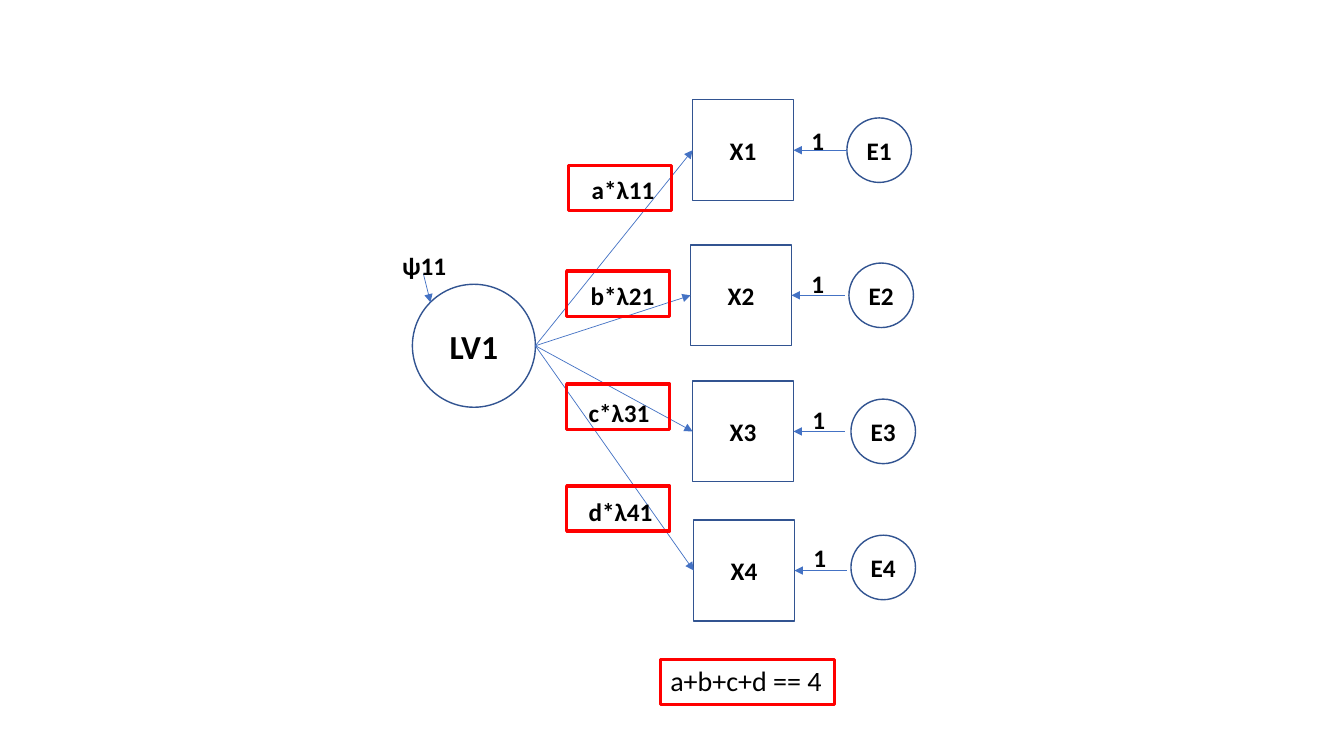
from pptx import Presentation, util as u
from pptx.dml.color import RGBColor
from pptx.enum import shapes as sh, text as tx
from pptx.oxml.ns import qn
from lxml import etree

HUES = {"ink": "000000", "paper": "FFFFFF", "edge": "325491",
        "arrow": "4472C4", "frame": "FF0000"}
COLS, ROWS = 13.33, 7.5  # slide grid, cells one inch square
SIDE, DISC = 1, 0.64     # indicator square, error circle
FRAME = (1.02, 0.45)     # red frame round a loading

# left and top of each square, left of its error circle, its shift down,
# start of the error arrow, place of the "1"
ITEMS = [
    (6.87, 0.99, 8.40, 0.00, 8.40, (7.95, 1.19)),
    (6.85, 2.43, 8.42, 0.00, 8.38, (7.95, 2.61)),
    (6.87, 3.78, 8.44, 0.00, 8.38, (7.96, 3.96)),
    (6.88, 5.16, 8.44, -0.03, 8.40, (7.97, 5.33)),
]
# wording, frame corner, offset of the label in the frame, label width
LOADS = [
    ("a*λ11", 5.64, 1.64, 0.13, 0.04, 0.83),
    ("b*λ21", 5.62, 2.69, 0.14, 0.04, 0.84),
    ("c*λ31", 5.62, 3.81, 0.12, 0.08, 0.81),
    ("d*λ41", 5.62, 4.82, 0.12, 0.05, 0.84),
]


def hue(name):
    return RGBColor.from_string(HUES[name])


def grid(*cells):
    return [u.Inches(c) for c in cells]


def write(frame, words, size, bold=True):
    run = frame.paragraphs[0].add_run()
    run.text = words
    run.font.size, run.font.bold = u.Pt(size), bold
    run.font.name = "Calibri"
    run.font.color.rgb = hue("ink")


def label(page, box, words, size=18, bold=True, wrap=False):
    frame = page.shapes.add_textbox(*grid(*box)).text_frame
    frame.word_wrap = wrap
    frame.auto_size = tx.MSO_AUTO_SIZE.SHAPE_TO_FIT_TEXT
    write(frame, words, size, bold)


def outline(page, kind, box, line, width):
    form = page.shapes.add_shape(kind, *grid(*box))
    form.shadow.inherit = False
    form.line.color.rgb = hue(line)
    form.line.width = u.Pt(width)
    return form


def node(page, kind, box, words, size=18):
    form = outline(page, kind, box, "edge", 1)
    form.fill.solid()
    form.fill.fore_color.rgb = hue("paper")
    frame = form.text_frame
    frame.word_wrap = False
    frame.vertical_anchor = tx.MSO_ANCHOR.MIDDLE
    frame.paragraphs[0].alignment = tx.PP_ALIGN.CENTER
    write(frame, words, size)
    return form


def border(page, box):
    outline(page, sh.MSO_SHAPE.RECTANGLE, box, "frame", 2.5).fill.background()


def arrow(page, start, end, goal=None, side=None):
    link = page.shapes.add_connector(
        sh.MSO_CONNECTOR.STRAIGHT, *grid(*start, *end))
    if goal is not None:
        link.end_connect(goal, side)
    link.line.color.rgb = hue("arrow")
    link.line.width = u.Pt(0.5)
    etree.SubElement(link.line._get_or_add_ln(), qn("a:tailEnd"),
                     type="triangle")
    etree.SubElement(link._element.spPr, qn("a:effectLst"))


def item(page, num, left, top, disc, shift, tail, one):
    """Indicator square with its error circle and unit path."""
    mid = top + SIDE / 2
    square = node(page, sh.MSO_SHAPE.RECTANGLE, (left, top, SIDE, SIDE),
                  f"X{num}")
    node(page, sh.MSO_SHAPE.OVAL,
         (disc, mid - DISC / 2 + shift, DISC, DISC), f"E{num}")
    arrow(page, (tail, mid), (left + SIDE, mid), square, 3)
    label(page, (*one, 0.33, 0.4), "1")
    return square


def latent(page, left, top, size, squares):
    """Latent variable, its variance and the paths to the squares."""
    node(page, sh.MSO_SHAPE.OVAL, (left, top, size, size), "LV1", 24)
    hub = (left + size, top + size / 2)
    for square in squares:
        arrow(page, hub, hub, square, 1)
    arrow(page, (left + 0.11, top - 0.1), (left + 0.18, top + 0.18))
    label(page, (left - 0.2, top - 0.39, 0.64, 0.4), "ψ11")


def load(page, words, left, top, right, down, width):
    """Framed loading."""
    label(page, (left + right, top + down, width, 0.4), words)
    border(page, (left, top, *FRAME))


def rule(page, left, top):
    """Framed constraint below the model."""
    label(page, (left, top, 2.46, 0.44), "a+b+c+d == 4", 20, False, True)
    border(page, (left, top + 0.01, 1.73, FRAME[1]))


def main():
    deck = Presentation()
    deck.slide_width, deck.slide_height = grid(COLS, ROWS)
    page = deck.slides.add_slide(deck.slide_layouts[6])
    squares = [item(page, num, *spot) for num, spot in enumerate(ITEMS, 1)]
    latent(page, 4.09, 2.82, 1.22, squares)
    for spot in LOADS:
        load(page, *spot)
    rule(page, 6.55, 6.53)
    deck.save("out.pptx")


if __name__ == "__main__":
    main()
